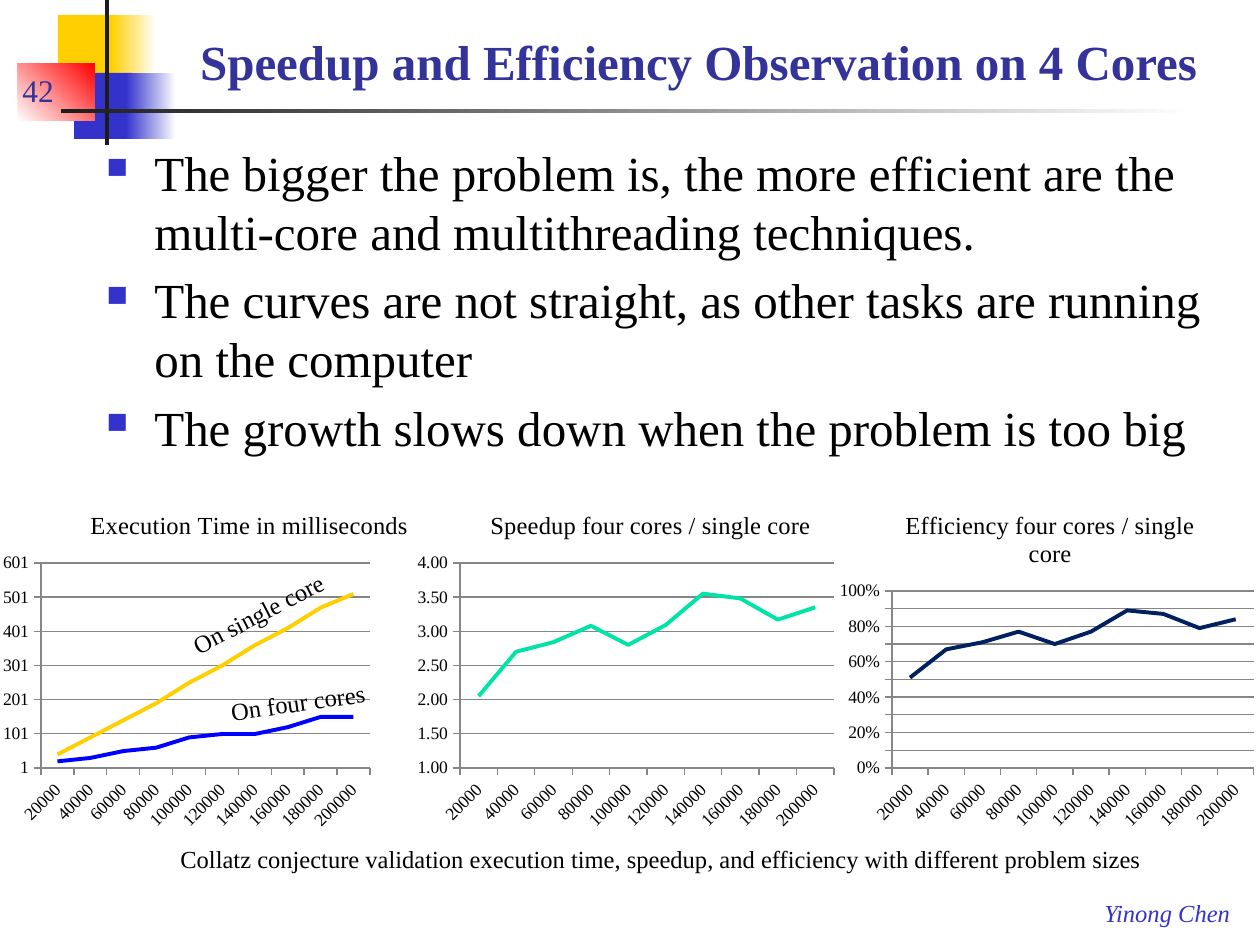
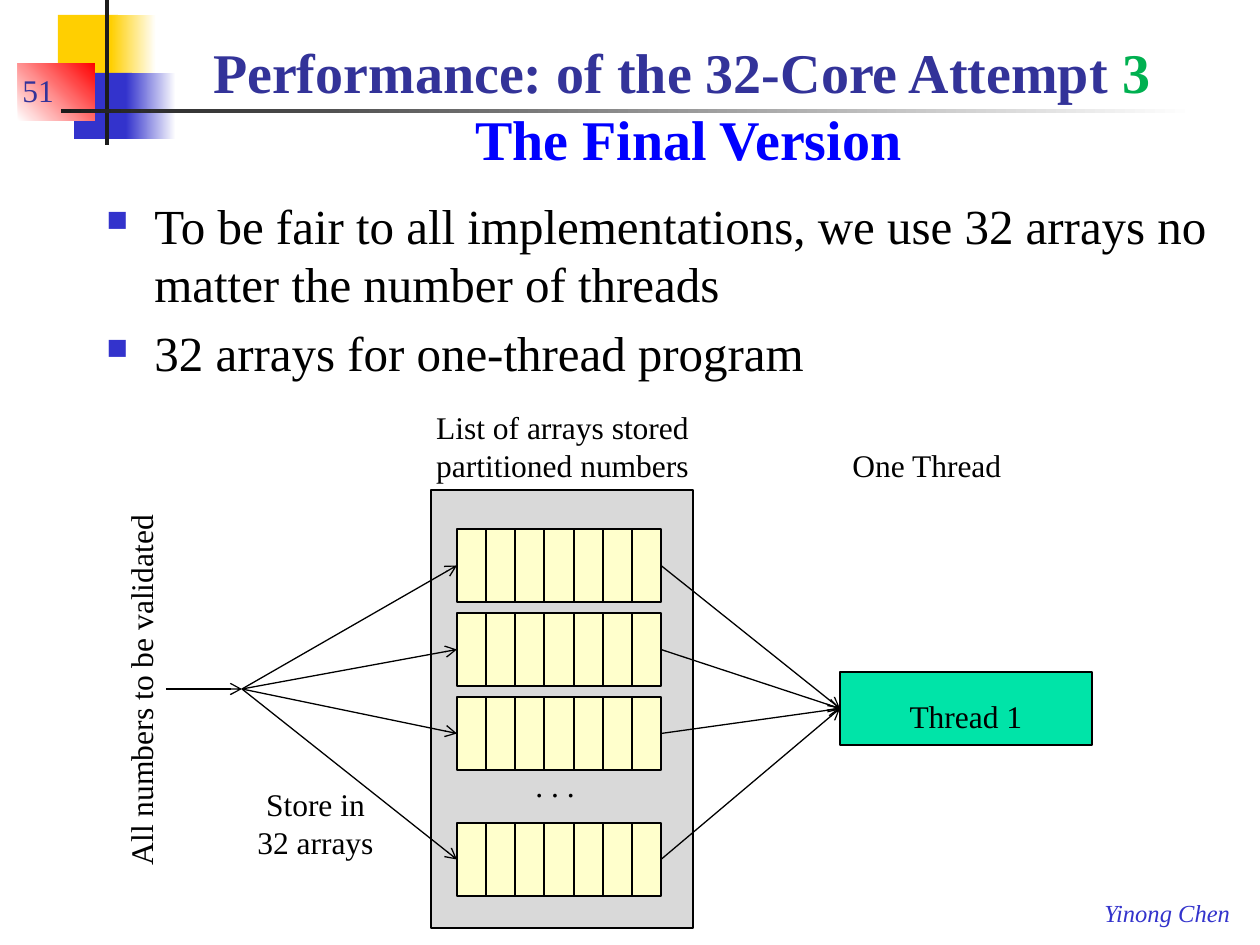
import dataclasses

import lxml.etree
import pptx
import pptx.chart.data
import pptx.dml.color
import pptx.enum.chart
import pptx.enum.dml
import pptx.enum.shapes
import pptx.enum.text
import pptx.oxml
import pptx.oxml.ns
import pptx.util


@dataclasses.dataclass(frozen=True)
class Theme:
    font: str = "Times New Roman"
    ink: str = "000000"
    paper: str = "FFFFFF"
    title: str = "333399"
    blue: str = "3333CC"
    bright_blue: str = "0000FF"
    green: str = "00B050"
    mint: str = "00E4A8"
    navy: str = "002060"
    yellow: str = "FFCF01"
    red: str = "FF0000"
    bar: str = "1C1C1C"
    panel: str = "D9D9D9"
    cell: str = "FFFFCC"
    grid: str = "868686"
    body_size: int = 28
    label_size: int = 18
    caption_size: int = 14
    axis_size: int = 10


THEME = Theme()
ALIGN = pptx.enum.text.PP_ALIGN
ANCHOR = pptx.enum.text.MSO_ANCHOR

DECOR = [
    ((58, 15, 60, 66), (THEME.yellow,), 0),
    ((111, 15, 45, 66), (THEME.yellow, THEME.paper), 0),
    ((74, 73, 58, 66), (THEME.blue,), 0),
    ((126, 73, 50, 66), (THEME.blue, THEME.paper), 0),
    ((18, 63, 77, 58), (THEME.paper, THEME.red), 45),
    ((105, 0, 4, 145), (THEME.bar,), 0),
    ((61, 109, 1134, 4), (THEME.bar, THEME.paper), 0),
]
AUTHOR = "Yinong Chen"

SPEEDUP_PAGE = {
    "number": "42",
    "title": [("Speedup and Efficiency Observation on 4 Cores", THEME.title)],
    "title_box": (147, 11, 1103, 86),
    "title_size": 28,
    "bullets": [
        "The bigger the problem is, the more efficient are the multi-core and multithreading techniques.",
        "The curves are not straight, as other tasks are running on the computer",
        "The growth slows down when the problem is too big",
    ],
    "body_box": (94, 136, 1139, 325),
}
FINAL_PAGE = {
    "number": "51",
    "title": [
        ("Performance: of the 32-Core Attempt ", THEME.title),
        ("3", THEME.green),
        ("\v The Final Version", THEME.bright_blue),
    ],
    "title_box": (157, 10, 1050, 168),
    "title_size": 32,
    "bullets": [
        "To be fair to all implementations, we use 32 arrays no matter the number of threads",
        "32 arrays for one-thread program",
    ],
    "body_box": (94, 189, 1139, 251),
}

PROBLEM_SIZES = [str(size) for size in range(20000, 200001, 20000)]
CHARTS = [
    {
        "title": "Speedup four cores / single core", "title_at": (486, 505),
        "box": (410, 491, 433, 347), "plot": (460, 563, 374, 205),
        "scale": (1, 4, 0.5), "format": "0.00",
        "series": [(THEME.mint, [2.05, 2.7, 2.84, 3.08, 2.8, 3.09, 3.55, 3.48, 3.17, 3.35])],
    },
    {
        "title": "Efficiency four cores / single core", "title_at": (901, 505),
        "box": (832, 491, 431, 347), "plot": (892, 591, 362, 177),
        "scale": (0, 1, 0.1), "format": "0%",
        "series": [(THEME.navy, [0.51, 0.67, 0.71, 0.77, 0.7, 0.77, 0.89, 0.87, 0.79, 0.84])],
    },
    {
        "title": "Execution Time in milliseconds", "title_at": (86, 505),
        "box": (0, 491, 421, 347), "plot": (41, 563, 329, 205),
        "scale": (1, 601, 100), "format": "0",
        "series": [
            (THEME.yellow, [40, 90, 140, 190, 250, 300, 360, 410, 470, 510]),
            (THEME.bright_blue, [20, 30, 50, 60, 90, 100, 100, 120, 150, 150]),
        ],
    },
]
CHART_LABELS = [
    ("Collatz conjecture validation execution time, speedup, and efficiency with different problem sizes",
     (168, 838, 994, 42), 0),
    ("On single core", (174, 592, 170, 42), -27.4),
    ("On four cores", (218, 681, 161, 42), -8),
]

ARRAY_PANEL = (431, 490, 262, 438)
ARRAY_LEFT, ARRAY_WIDTH, ARRAY_HEIGHT, CELL_COUNT = 457, 204, 73, 7
ARRAY_TOPS = [529, 613, 697, 823]
HUB = (242, 689)
INPUT_START = (166, 689)
THREAD_BOX = (840, 672, 252, 73)
DIAGRAM_LABELS = [
    ("All numbers to be validated", (-49, 663, 379, 50), -90, ALIGN.LEFT, False),
    ("List of arrays stored\npartitioned numbers", (422, 402, 281, 89), 0, ALIGN.CENTER, False),
    ("One Thread", (840, 440, 176, 50), 0, ALIGN.LEFT, False),
    ("Store in 32 arrays", (242, 779, 147, 89), 0, ALIGN.CENTER, True),
    (". . .", (523, 760, 66, 50), 0, ALIGN.LEFT, False),
]


def px(length):
    return pptx.util.Emu(round(length * 914400 / 126))


def place(box):
    return [px(length) for length in box]


def color(value):
    return pptx.dml.color.RGBColor.from_string(value)


def style_font(font, size, ink=THEME.ink, bold=False, italic=False):
    font.name, font.size = THEME.font, pptx.util.Pt(size)
    font.bold, font.italic = bold, italic
    font.color.rgb = color(ink)


def style_line(line, ink=THEME.ink, width=0.75):
    line.color.rgb = color(ink)
    line.width = pptx.util.Pt(width)


def add_text(page, text, box, size, ink=THEME.ink, align=ALIGN.LEFT, wrap=False,
             rotation=0, anchor=ANCHOR.TOP, italic=False):
    label = page.shapes.add_textbox(*place(box))
    label.rotation = rotation
    frame = label.text_frame
    frame.word_wrap, frame.vertical_anchor = wrap, anchor
    frame.text = text
    for para in frame.paragraphs:
        para.alignment = align
        for span in para.runs:
            style_font(span.font, size, ink, italic=italic)
    return frame


def add_box(page, box, fills, outline=None, angle=0):
    shape = page.shapes.add_shape(pptx.enum.shapes.MSO_SHAPE.RECTANGLE, *place(box))
    shape.shadow.inherit = False
    if len(fills) == 1:
        shape.fill.solid()
        shape.fill.fore_color.rgb = color(fills[0])
    else:
        shape.fill.gradient()
        shape.fill.gradient_angle = angle
        for stop, fill in zip(shape.fill.gradient_stops, fills):
            stop.color.rgb = color(fill)
    if outline:
        style_line(shape.line, outline)
    else:
        shape.line.fill.background()
    return shape


def add_arrow(page, start, end, source=None, target=None):
    arrow = page.shapes.add_connector(
        pptx.enum.shapes.MSO_CONNECTOR.STRAIGHT, *place(start + end))
    if source is not None:
        arrow.begin_connect(source, 3)
    if target is not None:
        arrow.end_connect(target, 1)
    style_line(arrow.line)
    outline = arrow.element.xpath("p:spPr/a:ln")[0]
    lxml.etree.SubElement(outline, pptx.oxml.ns.qn("a:tailEnd"), type="arrow")
    lxml.etree.SubElement(outline.getparent(), pptx.oxml.ns.qn("a:effectLst"))


def add_bullet(para):
    para.space_before = pptx.util.Pt(THEME.body_size * 0.2)
    properties = para._p.get_or_add_pPr()
    properties.set("marL", str(px(48)))
    properties.set("indent", str(-px(48)))
    bullet_color = lxml.etree.SubElement(properties, pptx.oxml.ns.qn("a:buClr"))
    lxml.etree.SubElement(bullet_color, pptx.oxml.ns.qn("a:srgbClr"), val=THEME.blue)
    lxml.etree.SubElement(properties, pptx.oxml.ns.qn("a:buSzPct"), val="60000")
    lxml.etree.SubElement(properties, pptx.oxml.ns.qn("a:buChar"), char="■")


def add_page(deck, content):
    page = deck.slides.add_slide(deck.slide_layouts[6])
    for box, fills, angle in DECOR:
        add_box(page, box, fills, angle=angle)
    add_text(page, AUTHOR, (1092, 892, 151, 42), THEME.caption_size, THEME.blue, italic=True)
    title = add_text(page, "", content["title_box"], content["title_size"],
                     align=ALIGN.CENTER, wrap=True, anchor=ANCHOR.BOTTOM)
    para = title.paragraphs[0]
    for text, ink in content["title"]:
        if text.startswith("\v"):
            para.add_line_break()
        span = para.add_run()
        span.text = text.lstrip("\v")
        style_font(span.font, content["title_size"], ink, bold=True)
    body = add_text(page, "\n".join(content["bullets"]), content["body_box"],
                    THEME.body_size, wrap=True)
    for para in body.paragraphs:
        add_bullet(para)
    add_text(page, content["number"], (10, 52, 107, 63), THEME.label_size, THEME.title,
             wrap=True, anchor=ANCHOR.BOTTOM)
    return page


def set_layout(parent, index, values, inner=False):
    for layout in parent.xpath("c:layout"):
        parent.remove(layout)
    layout = pptx.oxml.parse_xml(f"<c:layout {pptx.oxml.ns.nsdecls('c')}><c:manualLayout/></c:layout>")
    settings = {"layoutTarget": "inner"} if inner else {}
    settings.update(xMode="edge", yMode="edge")
    settings.update(zip("xywh", values))
    for name, value in settings.items():
        item = lxml.etree.SubElement(layout[0], pptx.oxml.ns.qn("c:" + name))
        item.set("val", value if isinstance(value, str) else f"{value:.4f}")
    parent.insert(index, layout)


def add_line_chart(page, content):
    left, top, width, height = content["box"]
    data = pptx.chart.data.CategoryChartData(number_format=content["format"])
    data.categories = PROBLEM_SIZES
    for index, (ink, values) in enumerate(content["series"], 1):
        data.add_series(f"Series {index}", values)
    chart = page.shapes.add_chart(
        pptx.enum.chart.XL_CHART_TYPE.LINE, *place(content["box"]), data).chart
    style_font(chart.font, THEME.axis_size)
    chart.has_legend = False
    chart.has_title = True
    chart.chart_title.text_frame.text = content["title"]
    style_font(chart.chart_title.text_frame.paragraphs[0].runs[0].font, THEME.caption_size)
    chart.plots[0].vary_by_categories = False
    for series, (ink, values) in zip(chart.plots[0].series, content["series"]):
        series.smooth = False
        series.marker.style = pptx.enum.chart.XL_MARKER_STYLE.NONE
        style_line(series.format.line, ink, 2.25)
    for axis in (chart.category_axis, chart.value_axis):
        axis.major_tick_mark = pptx.enum.chart.XL_TICK_MARK.OUTSIDE
        style_line(axis.format.line, THEME.grid)
        style_font(axis.tick_labels.font, THEME.axis_size)
    values_axis = chart.value_axis
    values_axis.minimum_scale, values_axis.maximum_scale, values_axis.major_unit = content["scale"]
    values_axis.tick_labels.number_format = content["format"]
    values_axis.tick_labels.number_format_is_linked = False
    values_axis.has_major_gridlines = True
    style_line(values_axis.major_gridlines.format.line, THEME.grid)
    chart.element.xpath(".//c:catAx/c:txPr/a:bodyPr")[0].set("rot", "-2700000")
    plot_left, plot_top, plot_width, plot_height = content["plot"]
    set_layout(chart.element.xpath("c:chart/c:plotArea")[0], 0,
               ((plot_left - left) / width, (plot_top - top) / height,
                plot_width / width, plot_height / height), inner=True)
    title_left, title_top = content["title_at"]
    set_layout(chart.element.xpath("c:chart/c:title")[0], 1,
               ((title_left - left) / width, (title_top - top) / height))


def add_array(page, top):
    edges = [ARRAY_LEFT + round(ARRAY_WIDTH * i / CELL_COUNT) for i in range(CELL_COUNT + 1)]
    cells = [add_box(page, (left, top, right - left, ARRAY_HEIGHT), (THEME.cell,), THEME.ink)
             for left, right in zip(edges, edges[1:])]
    return cells[0], cells[-1]


def add_diagram(page):
    add_box(page, ARRAY_PANEL, (THEME.panel,), THEME.ink)
    arrays = [add_array(page, top) for top in ARRAY_TOPS]
    thread = add_box(page, THREAD_BOX, (THEME.mint,), THEME.ink)
    thread.text_frame.vertical_anchor = ANCHOR.TOP
    thread.text_frame.text = "Thread 1"
    para = thread.text_frame.paragraphs[0]
    para.alignment, para.line_spacing = ALIGN.CENTER, 1.5
    style_font(para.runs[0].font, THEME.label_size)
    add_arrow(page, INPUT_START, HUB)
    for first, last in arrays:
        add_arrow(page, HUB, HUB, target=first)
        add_arrow(page, HUB, HUB, source=last, target=thread)
    for text, box, rotation, align, wrap in DIAGRAM_LABELS:
        add_text(page, text, box, THEME.label_size, align=align, wrap=wrap, rotation=rotation)


def main():
    deck = pptx.Presentation()
    deck.slide_width, deck.slide_height = px(1260), px(945)
    page = add_page(deck, SPEEDUP_PAGE)
    for chart_content in CHARTS:
        add_line_chart(page, chart_content)
    for text, box, rotation in CHART_LABELS:
        add_text(page, text, box, THEME.caption_size, rotation=rotation)
    add_diagram(add_page(deck, FINAL_PAGE))
    deck.save("out.pptx")


if __name__ == "__main__":
    main()
